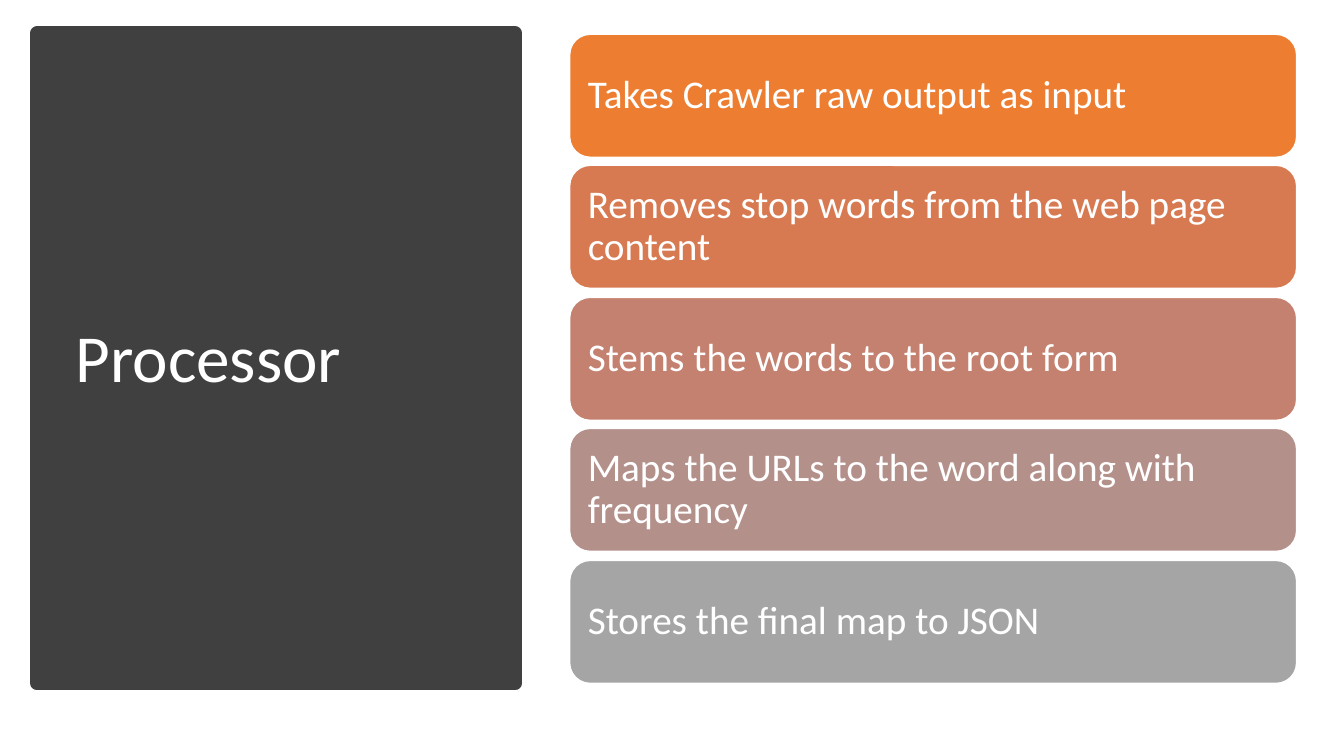
from pptx import Presentation
from pptx import util as u
from pptx.dml.color import RGBColor
from pptx.enum import shapes, text

PX = 9144  # EMU per px, 100 px to the inch
INK = {"panel": "404040", "white": "FFFFFF"}
STEPS = {
    "Takes Crawler raw output as input": "ED7D31",
    "Removes stop words from the web page content": "D87A51",
    "Stems the words to the root form": "C48170",
    "Maps the URLs to the word along with frequency": "B4908B",
    "Stores the final map to JSON": "A5A5A5",
}


def px(*nums):
    return [u.Emu(n * PX) for n in nums]


def put(obj, **vals):
    for key, val in vals.items():
        setattr(obj, key, val)


def write(shape, words, size, inset):
    frame = shape.text_frame
    pad = px(inset)[0]
    put(frame, text=words, word_wrap=True, auto_size=text.MSO_AUTO_SIZE.NONE,
        vertical_anchor=text.MSO_ANCHOR.MIDDLE, margin_left=pad,
        margin_top=pad, margin_right=pad, margin_bottom=pad)
    para = frame.paragraphs[0]
    put(para, alignment=text.PP_ALIGN.LEFT, line_spacing=0.9)
    font = para.runs[0].font
    put(font, name="Calibri", size=u.Pt(size))
    font.color.rgb = RGBColor.from_string(INK["white"])


def box(owner, kind, area, fill, line, width):
    shape = owner.add_shape(kind, *px(*area))
    shape.shadow.inherit = False
    shape.fill.solid()
    shape.fill.fore_color.rgb = RGBColor.from_string(fill)
    shape.line.color.rgb = RGBColor.from_string(line)
    shape.line.width = u.Pt(width)
    return shape


def main():
    deck = Presentation()
    deck.slide_width, deck.slide_height = px(1333, 750)
    slide = deck.slides.add_slide(deck.slide_layouts[5])
    title = slide.shapes.title

    # Dark panel, placed behind the title
    panel = box(slide.shapes, shapes.MSO_SHAPE.RECTANGLE, (37, 33, 474, 645),
                INK["panel"], INK["panel"], 10)
    title.element.addprevious(panel.element)

    # Title
    left, top, width, height = px(65, 70, 416, 575)
    put(title, left=left, top=top, width=width, height=height)
    write(title, "Processor", 48, 10)

    # Stack of steps, two of them every 261 px
    stack = slide.shapes.add_group_shape().shapes
    for i, (words, fill) in enumerate(STEPS.items()):
        area = (565, 34 + i * 261 // 2, 721, 122)
        step = box(stack, shapes.MSO_SHAPE.ROUNDED_RECTANGLE, area,
                   fill, INK["white"], 1)
        write(step, words, 28, 12)

    deck.save("out.pptx")


if __name__ == "__main__":
    main()
